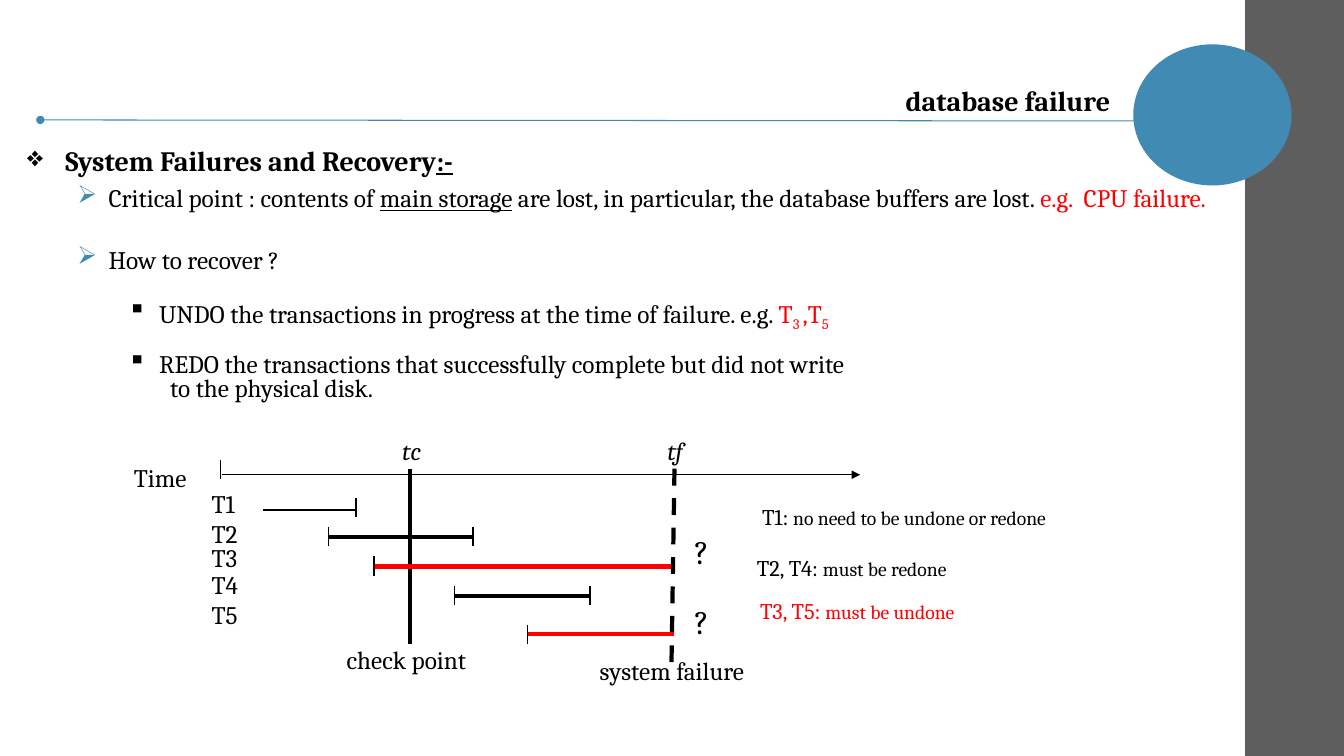
"""Build the slide on system failures and recovery on a grid of tenth-inch cells."""
from dataclasses import dataclass

from lxml import etree
from pptx import Presentation
from pptx import util as u
from pptx.dml.color import RGBColor
from pptx.enum import dml, shapes, text
from pptx.oxml.ns import qn

CELL = u.Inches(0.1)
COLUMNS, ROWS = 133.3, 75
FONT = "Cambria"
BLACK, RED, BLUE, GREY = "000000", "FF0000", "418AB3", "5E5E5E"


@dataclass(frozen=True)
class Run:
    """A piece of text and what sets it apart from its paragraph."""
    words: str
    color: str | None = None
    size: float | None = None
    underline: bool = False
    subscript: bool = False


@dataclass(frozen=True)
class Line:
    """A paragraph with its shared font, spacing and bullet."""
    runs: tuple[Run, ...]
    size: float = 18
    color: str = BLACK
    bold: bool = False
    italic: bool = False
    align: text.PP_ALIGN | None = None
    spacing: float | None = None
    before: float | None = None
    margin: float = 0
    hanging: float = 0
    bullet: str = ""
    bullet_color: str = BLACK


@dataclass(frozen=True)
class Transaction:
    """A bar on the timeline with the ticks that bound it."""
    name: str
    row: float
    start: float
    end: float
    tick_top: float
    ticks: tuple[float, ...]
    color: str = BLACK
    weight: float = 3
    label_spacing: float | None = None


@dataclass(frozen=True)
class Label:
    """A one-line text at a grid position."""
    line: Line
    column: float
    row: float
    columns: float
    rows: float = 4.6


def cells(count: float) -> int:
    """Turn a count of grid cells into a length."""
    return round(count * CELL)


def rgb(color: str) -> RGBColor:
    """Turn a hex string into a colour."""
    return RGBColor.from_string(color)


def plain(words: str, **style) -> Line:
    """Make a paragraph of a single run."""
    return Line((Run(words),), **style)


def legend(names: str, action: str, color: str = BLACK) -> Line:
    """Make a legend entry with larger transaction names."""
    return Line((Run(names), Run(action, size=14)), size=16, color=color)


def add_block(slide, kind, column, row, columns, rows, color: str) -> None:
    """Draw a filled shape without outline."""
    shape = slide.shapes.add_shape(kind, *map(cells, (column, row, columns, rows)))
    shape.shadow.inherit = False
    shape.fill.solid()
    shape.fill.fore_color.rgb = rgb(color)
    shape.line.fill.background()


def add_rule(slide, start, end, color=BLACK, weight=1.0, dashed=False, head="", tail="") -> None:
    """Draw a straight line between two grid points."""
    rule = slide.shapes.add_connector(
        shapes.MSO_CONNECTOR.STRAIGHT, *map(cells, (*start, *end)))
    rule.line.color.rgb = rgb(color)
    rule.line.width = u.Pt(weight)
    if dashed:
        rule.line.dash_style = dml.MSO_LINE.DASH
    outline = rule.line._get_or_add_ln()
    for tag, kind in (("a:headEnd", head), ("a:tailEnd", tail)):
        if kind:
            etree.SubElement(outline, qn(tag), type=kind)
    etree.SubElement(rule._element.spPr, qn("a:effectLst"))


def add_run(paragraph, part: Run) -> None:
    """Append a run and set what differs from its paragraph."""
    run = paragraph.add_run()
    run.text = part.words
    if part.color:
        run.font.color.rgb = rgb(part.color)
    if part.size:
        run.font.size = u.Pt(part.size)
    if part.underline:
        run.font.underline = True
    if part.subscript:
        run._r.get_or_add_rPr().set("baseline", "-25000")


def fill_paragraph(paragraph, line: Line) -> None:
    """Write a line into a paragraph."""
    properties = paragraph._p.get_or_add_pPr()
    properties.set("marL", str(cells(line.margin)))
    properties.set("indent", str(cells(-line.hanging)))
    if line.bullet:
        tint = etree.SubElement(properties, qn("a:buClr"))
        etree.SubElement(tint, qn("a:srgbClr"), val=line.bullet_color)
        etree.SubElement(properties, qn("a:buChar"), char=line.bullet)
    paragraph.alignment = line.align
    paragraph.line_spacing = line.spacing
    if line.before:
        paragraph.space_before = u.Pt(line.before)
    font = paragraph.font
    font.name, font.size = FONT, u.Pt(line.size)
    font.bold, font.italic = line.bold, line.italic
    font.color.rgb = rgb(line.color)
    for part in line.runs:
        add_run(paragraph, part)


def add_text(slide, lines, column, row, columns, rows, wrap=False) -> None:
    """Add a text box holding the given lines."""
    frame = slide.shapes.add_textbox(*map(cells, (column, row, columns, rows))).text_frame
    frame.word_wrap = wrap
    for index, line in enumerate(lines):
        fill_paragraph(frame.add_paragraph() if index else frame.paragraphs[0], line)


ARROW = dict(margin=8.1, hanging=3.1, bullet="➢", bullet_color=BLUE)
SQUARE = dict(margin=13.1, hanging=3.1, bullet="▪", spacing=0.8)

BODY = (
    Line((Run("System Failures and Recovery"), Run(":-", underline=True)),
         size=20, bold=True, margin=3.8, hanging=3.8, bullet="❖"),
    Line((Run("Critical point : contents of "), Run("main storage", underline=True),
          Run(" are lost, in particular, the database buffers are lost. "),
          Run("e.g.  CPU failure.", RED)), spacing=1.2, **ARROW),
    plain("How to recover ?", spacing=0.8, before=26.4, **ARROW),
    Line((Run("UNDO the transactions in progress at the time of failure. e.g. "),
          Run("T", RED), Run("3 ", RED, subscript=True),
          Run(",T", RED), Run("5", RED, subscript=True)), before=19.4, **SQUARE),
    plain("REDO the transactions that successfully complete but did not write",
          before=18, **SQUARE),
    plain("to the physical disk.", spacing=0.8, margin=14.2),
)

TRANSACTIONS = (
    Transaction("T1", 50.6, 26.1, 35.3, 49.4, (35.3,), weight=1),
    Transaction("T2", 53.3, 32.6, 46.9, 52.3, (32.6, 46.9)),
    Transaction("T3", 56.2, 37.1, 66.6, 55.2, (37.1,), RED, label_spacing=0.8),
    Transaction("T4", 59.1, 45.1, 58.5, 58.1, (45.1, 58.5), label_spacing=0.9),
    Transaction("T5", 62.9, 52.3, 66.8, 62, (52.3,), RED),
)
TICK = 1.9

LABELS = (
    Label(plain("tc", italic=True), 38.9, 42.7, 4),
    Label(plain("tf", italic=True), 65.2, 42.7, 3.6),
    Label(plain("Time"), 12.3, 45.4, 7.8),
    Label(plain("check point"), 33.4, 63.4, 14.6),
    Label(plain("system failure"), 58.5, 64.5, 17.3),
    Label(plain("?", size=24), 67.9, 52.2, 3.7, 5.7),
    Label(plain("?", size=24), 67.9, 59.1, 3.7, 5.7),
    Label(legend("T1: ", "no need to be undone or redone"), 74.6, 49.4, 32.4, 4.2),
    Label(legend("T2, T4: ", "must be redone"), 74.1, 54.5, 23, 4.2),
    Label(legend("T3, T5: ", "must be undone", RED), 74.4, 58.7, 23, 4.2),
)


def main() -> None:
    """Build and save the slide."""
    presentation = Presentation()
    presentation.slide_width, presentation.slide_height = cells(COLUMNS), cells(ROWS)
    slide = presentation.slides.add_slide(presentation.slide_layouts[6])
    add_block(slide, shapes.MSO_SHAPE.RECTANGLE, 123.5, 0, COLUMNS - 123.5, ROWS, GREY)
    add_block(slide, shapes.MSO_SHAPE.OVAL, 112.4, 4.4, 15.7, 14, BLUE)
    add_text(slide, BODY, 1.7, 13.7, 119.3, 47.7, wrap=True)
    title = plain("database failure", size=20, bold=True, align=text.PP_ALIGN.RIGHT)
    add_text(slide, (title,), 35.9, 7.8, 75.2, 4.4, wrap=True)
    add_rule(slide, (4, 11.9), (112.8, 12), BLUE, 0.75, head="oval")
    add_rule(slide, (22, 47.1), (85.3, 47.1), tail="triangle")
    add_rule(slide, (21.9, 45.6), (21.9, 45.6 + TICK))
    add_rule(slide, (40.7, 46.5), (40.7, 63.9), weight=3)
    add_rule(slide, (66.9, 46.5), (66.6, 65.8), weight=3, dashed=True)
    for item in TRANSACTIONS:
        add_rule(slide, (item.start, item.row), (item.end, item.row), item.color, item.weight)
        for column in item.ticks:
            add_rule(slide, (column, item.tick_top), (column, item.tick_top + TICK))
    names = [plain(item.name, spacing=item.label_spacing) for item in TRANSACTIONS]
    add_text(slide, names, 20, 47.9, 5.1, 17.5)
    for label in LABELS:
        add_text(slide, (label.line,), label.column, label.row, label.columns, label.rows)
    presentation.save("out.pptx")


if __name__ == "__main__":
    main()
